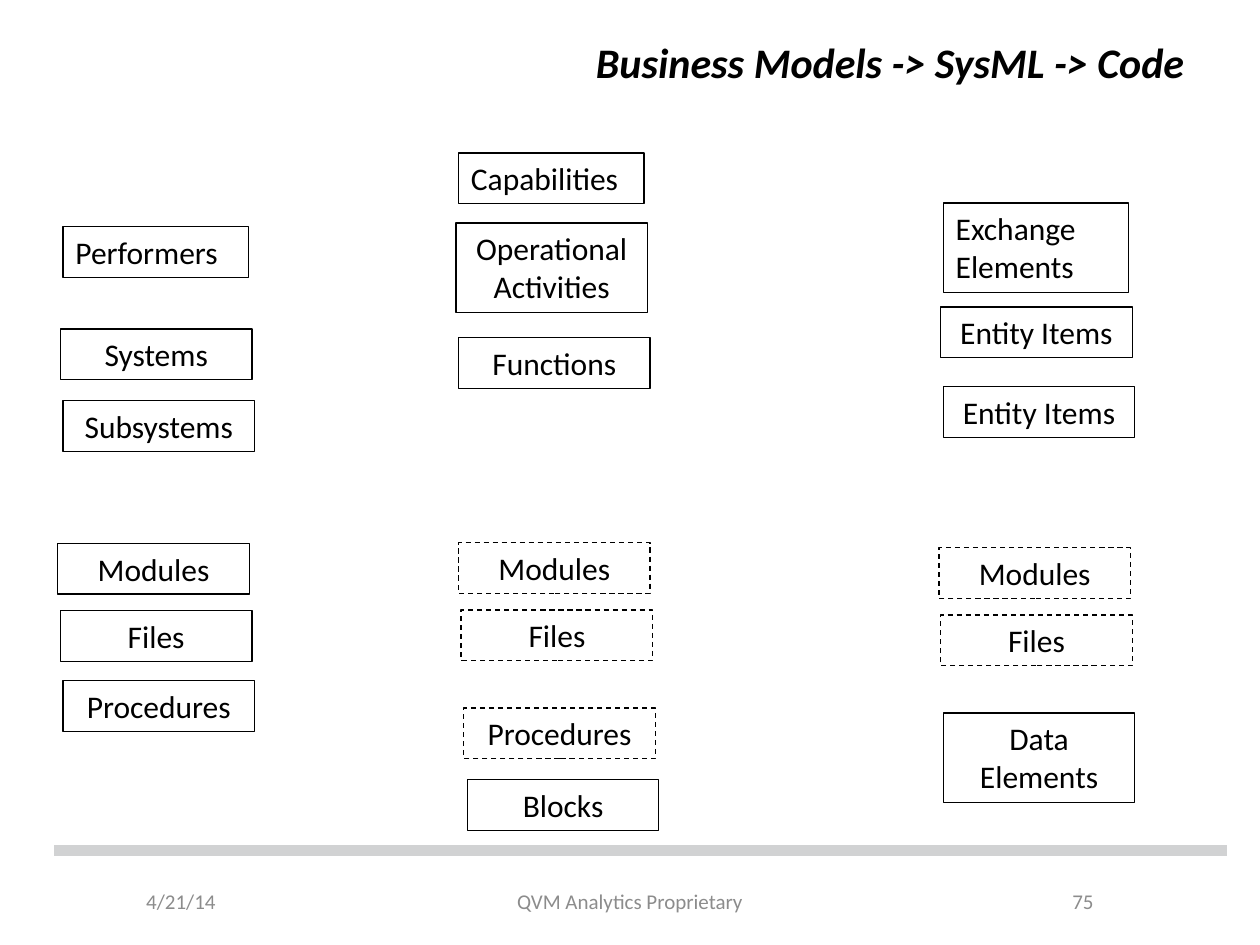
from typing import Any, NamedTuple

from lxml.etree import SubElement
from pptx import Presentation
from pptx.dml.color import RGBColor
from pptx.enum.dml import MSO_LINE
from pptx.enum.shapes import MSO_CONNECTOR, MSO_SHAPE
from pptx.enum.text import MSO_ANCHOR, MSO_AUTO_SIZE, PP_ALIGN
from pptx.oxml.ns import qn
from pptx.util import Pt


class ModelBox(NamedTuple):
    label: str
    left: float
    top: float
    width: float = 109.5
    height: float = 29
    alignment: PP_ALIGN = PP_ALIGN.CENTER
    dashed: bool = False


class FooterField(NamedTuple):
    label: str
    left: float
    width: float
    alignment: PP_ALIGN


LEFT_ALIGNED = {"width": 106, "alignment": PP_ALIGN.LEFT}
TWO_LINES = {"height": 51}
DASHED = {"dashed": True}

STRUCTURE = [
    ModelBox("Performers", 36, 129.5, **LEFT_ALIGNED),
    ModelBox("Systems", 34.5, 188),
    ModelBox("Subsystems", 36, 229),
    ModelBox("Modules", 33, 310.5),
    ModelBox("Files", 34.5, 349),
    ModelBox("Procedures", 36, 389),
]
BEHAVIOUR = [
    ModelBox("Capabilities", 262, 87.5, **LEFT_ALIGNED),
    ModelBox("Operational Activities", 260.5, 127.5, **TWO_LINES),
    ModelBox("Functions", 262, 193),
    ModelBox("Modules", 262, 310, **DASHED),
    ModelBox("Files", 263.5, 348.5, **DASHED),
    ModelBox("Procedures", 265, 404.5, **DASHED),
    ModelBox("Blocks", 267, 445.5),
]
INFORMATION = [
    ModelBox("Exchange Elements", 539, 116, **LEFT_ALIGNED, **TWO_LINES),
    ModelBox("Entity Items", 537.5, 175.5),
    ModelBox("Entity Items", 539, 221),
    ModelBox("Modules", 536.5, 313, **DASHED),
    ModelBox("Files", 537.5, 351.5, **DASHED),
    ModelBox("Data Elements", 539, 407.5, **TWO_LINES),
]
FOOTER = [
    FooterField("4/21/14", 76.5, 127.5, PP_ALIGN.LEFT),
    FooterField("QVM Analytics Proprietary", 246, 228, PP_ALIGN.CENTER),
    FooterField("75", 516, 116, PP_ALIGN.RIGHT),
]

TITLE_FONT = {"name": "Calibri", "size": Pt(24), "bold": True, "italic": True}
BOX_FONT = {"name": "Calibri", "size": Pt(18)}
FOOTER_FONT = {"name": "Calibri", "size": Pt(12)}


def set_color(color_format: Any, value: str) -> None:
    color_format.rgb = RGBColor.from_string(value)


def set_attributes(target: Any, values: dict[str, Any]) -> None:
    for name, value in values.items():
        setattr(target, name, value)


def write_text(shape: Any, label: str, alignment: PP_ALIGN, anchor: MSO_ANCHOR,
               font_values: dict[str, Any], color: str) -> None:
    frame = shape.text_frame
    set_attributes(frame, {"text": label, "word_wrap": True, "vertical_anchor": anchor})
    paragraph = frame.paragraphs[0]
    paragraph.alignment = alignment
    set_attributes(paragraph.font, font_values)
    set_color(paragraph.font.color, color)


def draw_box(slide: Any, box: ModelBox) -> None:
    shape = slide.shapes.add_shape(
        MSO_SHAPE.RECTANGLE, Pt(box.left), Pt(box.top), Pt(box.width), Pt(box.height))
    shape.shadow.inherit = False
    shape.fill.background()
    set_color(shape.line.color, "000000")
    shape.line.width = Pt(0.75)
    if box.dashed:
        shape.line.dash_style = MSO_LINE.DASH
    write_text(shape, box.label, box.alignment, MSO_ANCHOR.TOP, BOX_FONT, "000000")
    shape.text_frame.auto_size = MSO_AUTO_SIZE.SHAPE_TO_FIT_TEXT


def draw_footer_field(slide: Any, field: FooterField) -> None:
    shape = slide.shapes.add_textbox(Pt(field.left), Pt(500.5), Pt(field.width), Pt(29))
    write_text(shape, field.label, field.alignment, MSO_ANCHOR.MIDDLE, FOOTER_FONT, "8C8C8C")


def draw_footer_rule(slide: Any) -> None:
    rule = slide.shapes.add_connector(
        MSO_CONNECTOR.STRAIGHT, Pt(31), Pt(486), Pt(701), Pt(486))
    set_color(rule.line.color, "D1D2D3")
    rule.line.width = Pt(6)
    SubElement(rule.element.spPr, qn("a:effectLst"))


def draw_title(slide: Any) -> None:
    title = slide.shapes.title
    set_attributes(title, {"left": Pt(36), "top": Pt(15), "width": Pt(648), "height": Pt(40)})
    write_text(title, "Business Models -> SysML -> Code", PP_ALIGN.RIGHT,
               MSO_ANCHOR.MIDDLE, TITLE_FONT, "000000")


def main() -> None:
    presentation = Presentation()
    set_attributes(presentation, {"slide_width": Pt(720), "slide_height": Pt(540)})
    slide = presentation.slides.add_slide(presentation.slide_layouts[5])
    for field in FOOTER:
        draw_footer_field(slide, field)
    draw_footer_rule(slide)
    draw_title(slide)
    for box in STRUCTURE + INFORMATION + BEHAVIOUR:
        draw_box(slide, box)
    presentation.save("out.pptx")


if __name__ == "__main__":
    main()
